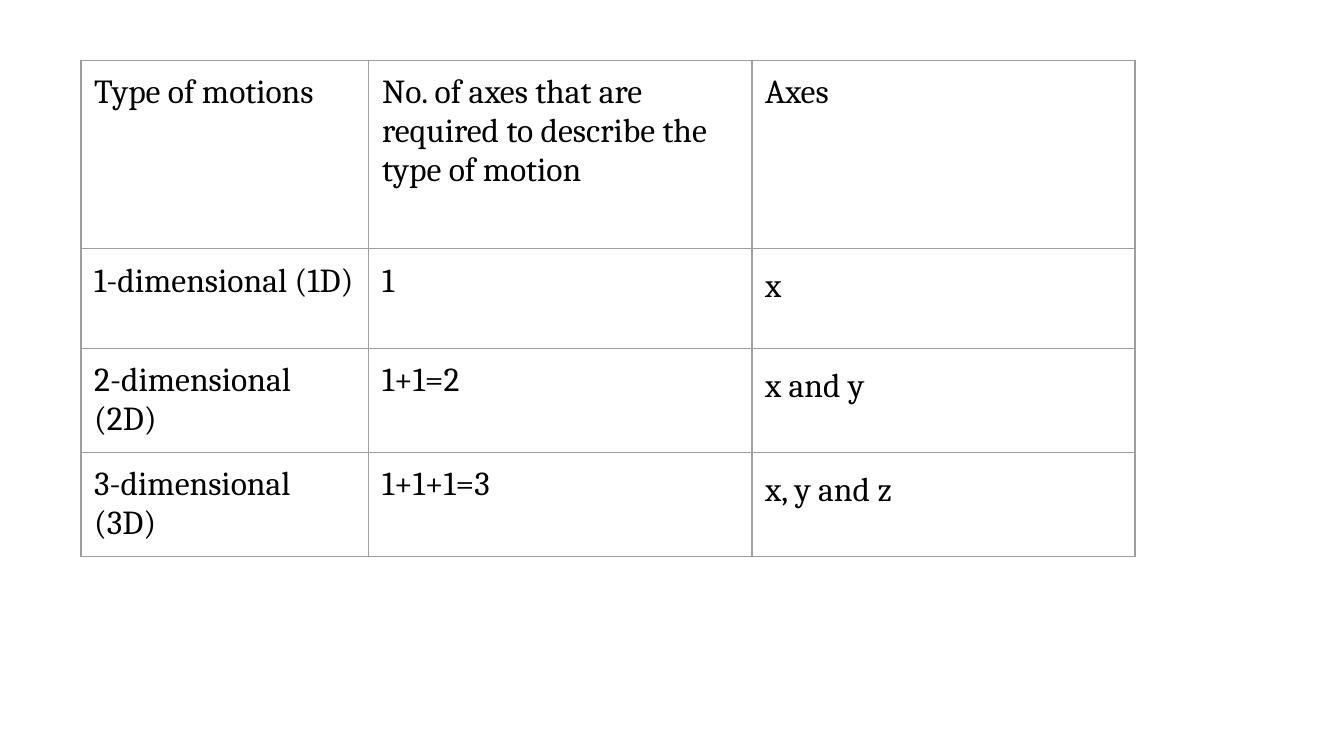
from lxml.etree import SubElement
from pptx import Presentation
from pptx.dml.color import RGBColor
from pptx.oxml.ns import qn
from pptx.util import Cm, Pt

# Content
MOTIONS = [
    ("Type of motions",
     "No. of axes that are required to describe the type of motion", "Axes"),
    ("1-dimensional (1D)", "1", "x"),
    ("2-dimensional (2D)", "1+1=2", "x and y"),
    ("3-dimensional (3D)", "1+1+1=3", "x, y and z"),
]

# Style and sizes, in centimetres
COLORS = {"text": "000000", "border": "9E9E9E"}
FONT, FONT_SIZE = "Cambria", Pt(18)
LEFT, TOP, MARGIN = 1.53, 1.14, 0.25
COLUMN_WIDTHS = [5.44, 7.24, 7.24]
ROW_HEIGHTS = [3.56] + [1.88] * 3


def add_borders(cell):
    properties = cell._tc.get_or_add_tcPr()
    for position, side in enumerate(("a:lnL", "a:lnR", "a:lnT", "a:lnB")):
        line = SubElement(properties, qn(side), w=str(Pt(0.75)))
        fill = SubElement(line, qn("a:solidFill"))
        SubElement(fill, qn("a:srgbClr"), val=COLORS["border"])
        properties.insert(position, line)  # borders come before the fill


def write_cell(cell, text, spaced):
    cell.fill.background()
    add_borders(cell)
    cell.margin_left = cell.margin_right = Cm(MARGIN)
    cell.margin_top = cell.margin_bottom = Cm(MARGIN)
    paragraph = cell.text_frame.paragraphs[0]
    if spaced:
        paragraph.line_spacing = 1.15
        paragraph.space_after = Pt(12)
    run = paragraph.add_run()
    run.text = text
    run.font.name, run.font.size = FONT, FONT_SIZE
    run.font.bold = False
    run.font.color.rgb = RGBColor.from_string(COLORS["text"])


def main():
    presentation = Presentation()
    presentation.slide_width, presentation.slide_height = Cm(25.4), Cm(14.29)
    slide = presentation.slides.add_slide(presentation.slide_layouts[6])

    # Table of motion types
    motions = slide.shapes.add_table(
        len(MOTIONS), len(COLUMN_WIDTHS), Cm(LEFT), Cm(TOP),
        Cm(sum(COLUMN_WIDTHS)), Cm(sum(ROW_HEIGHTS))).table
    motions.first_row = motions.horz_banding = False
    for column, width in zip(motions.columns, COLUMN_WIDTHS):
        column.width = Cm(width)
    for row, height in zip(motions.rows, ROW_HEIGHTS):
        row.height = Cm(height)

    # The axes below the header have looser spacing
    for r, motion in enumerate(MOTIONS):
        for c, text in enumerate(motion):
            write_cell(motions.cell(r, c), text, spaced=r > 0 and c == 2)

    presentation.save("out.pptx")


if __name__ == "__main__":
    main()
